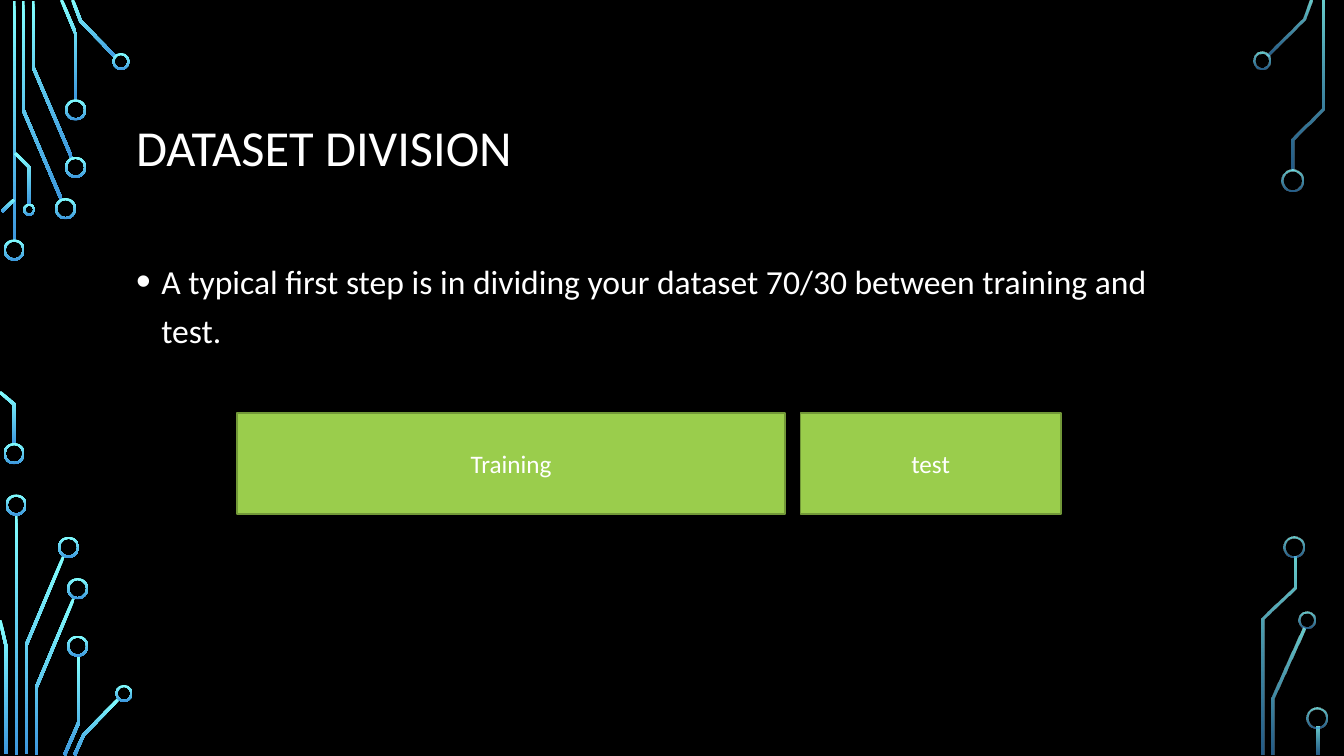
import math

import lxml.etree
import pptx
import pptx.dml.color
import pptx.enum.shapes
import pptx.enum.text
import pptx.oxml.ns
import pptx.util

Inches = pptx.util.Inches
Pt = pptx.util.Pt
ALIGN = pptx.enum.text.PP_ALIGN
ANCHOR = pptx.enum.text.MSO_ANCHOR
SHAPE = pptx.enum.shapes.MSO_SHAPE

COLORS = {
    "background": "000000",
    "text": "FFFFFF",
    "bar": "9ACD4C",
    "bar_line": "729838",
    "circuit_top": "82FFFF",
    "circuit_bottom": "3D97DE",
}
FONT = "Calibri"

TITLE = "DATASET DIVISION"
BODY = "A typical first step is in dividing your dataset 70/30 between training and test."
TITLE_BOX = (1.25, 0.68, 10.83, 1.62)
BODY_BOX = (1.25, 2.46, 10.83, 3.87)

BAR_TOP, BAR_HEIGHT = 4.1, 1
BARS = [("Training", 2.35, 5.44), ("test", 7.94, 2.58)]  # label, left, width

TRACE_WIDTH = 0.03
RING_WALL = 0.02

# Each side: opacity of the two gradient stops, centre lines of the traces,
# and rings as (centre x, centre y, diameter).
CIRCUITS = [
    {
        "opacity": (100, 100),
        "traces": [
            [(0.14, 0.01), (0.14, 2.4)],
            [(0.23, 0.01), (0.23, 1.09), (0.61, 1.98)],
            [(0.33, 0.01), (0.33, 0.67), (0.71, 1.56)],
            [(0.61, 0), (0.75, 0.33), (0.75, 1)],
            [(0.72, 0), (0.8, 0.21), (1.15, 0.57)],
            [(0.02, 2.1), (0.14, 1.98)],
            [(0, 3.89), (0.14, 4.01), (0.14, 4.41)],
            [(0.15, 1.52), (0.29, 1.66), (0.29, 2.03)],
            [(0.16, 5.1), (0.16, 7.49)],
            [(0.26, 7.48), (0.26, 6.4), (0.63, 5.52)],
            [(0, 6.15), (0.06, 6.41), (0.06, 7.48)],
            [(0.36, 7.49), (0.36, 6.82), (0.73, 5.94)],
            [(0.64, 7.49), (0.78, 7.17), (0.78, 6.5)],
            [(0.74, 7.49), (0.83, 7.29), (1.18, 6.93)],
        ],
        "rings": [
            (0.14, 2.48, 0.21), (0.14, 4.5, 0.21), (0.65, 2.07, 0.21),
            (0.75, 1.66, 0.21), (0.75, 1.09, 0.21), (1.2, 0.61, 0.17),
            (0.29, 2.08, 0.12), (0.16, 5.01, 0.21), (0.68, 5.43, 0.21),
            (0.77, 5.84, 0.21), (0.77, 6.41, 0.21), (1.23, 6.88, 0.17),
        ],
    },
    {
        "opacity": (80, 60),
        "traces": [
            [(12.57, 0.55), (12.93, 0.19), (13, 0)],
            [(12.63, 7.49), (12.63, 6.93), (12.93, 6.23)],
            [(12.82, 1.69), (12.82, 1.38), (13.12, 1.08), (13.12, 0.01)],
            [(12.53, 7.49), (12.53, 6.14), (12.84, 5.83), (12.84, 5.52)],
            [(13.07, 7.21), (13.07, 7.49)],
        ],
        "rings": [
            (12.52, 0.6, 0.17), (12.82, 1.79, 0.21), (12.96, 6.15, 0.17),
            (12.83, 5.43, 0.21), (13.06, 7.12, 0.21),
        ],
    },
]


def rgb(name):
    return pptx.dml.color.RGBColor.from_string(COLORS[name])


def ribbon(points, width):
    """Return the outline of a mitred band of this width along the points."""
    normals = []
    for (x1, y1), (x2, y2) in zip(points, points[1:]):
        length = math.hypot(x2 - x1, y2 - y1)
        normals.append(((y1 - y2) / length, (x2 - x1) / length))
    left, right = [], []
    for (x, y), (ax, ay), (bx, by) in zip(points, normals[:1] + normals, normals + normals[-1:]):
        reach = width / 2 / (1 + ax * bx + ay * by)
        dx, dy = (ax + bx) * reach, (ay + by) * reach
        left.append((x + dx, y + dy))
        right.append((x - dx, y - dy))
    return [(Inches(x), Inches(y)) for x, y in left + right[::-1]]


def paint_circuit(shape, opacity):
    shape.shadow.inherit = False
    shape.line.fill.background()
    shape.fill.gradient()
    shape.fill.gradient_angle = 270
    for stop, name in zip(shape.fill.gradient_stops, ("circuit_top", "circuit_bottom")):
        stop.color.rgb = rgb(name)
    for color, percent in zip(shape.element.spPr.iter(pptx.oxml.ns.qn("a:srgbClr")), opacity):
        if percent < 100:
            alpha = lxml.etree.SubElement(color, pptx.oxml.ns.qn("a:alpha"))
            alpha.set("val", str(percent * 1000))


def draw_circuit(shapes, circuit):
    for points in circuit["traces"]:
        outline = ribbon(points, TRACE_WIDTH)
        builder = shapes.build_freeform(*outline[0])
        builder.add_line_segments(outline[1:], close=True)
        paint_circuit(builder.convert_to_shape(), circuit["opacity"])
    for x, y, size in circuit["rings"]:
        box = (x - size / 2, y - size / 2, size, size)
        ring = shapes.add_shape(SHAPE.DONUT, *map(Inches, box))
        ring.adjustments[0] = RING_WALL / size
        paint_circuit(ring, circuit["opacity"])


def write(shape, text, size, anchor, **paragraph_format):
    frame = shape.text_frame
    frame.text = text
    frame.word_wrap = True
    frame.vertical_anchor = anchor
    paragraph = frame.paragraphs[0]
    for name, value in paragraph_format.items():
        setattr(paragraph, name, value)
    font = paragraph.runs[0].font
    for name, value in {"name": FONT, "size": Pt(size)}.items():
        setattr(font, name, value)
    font.color.rgb = rgb("text")
    return paragraph


def place(shape, box):
    for name, value in zip(("left", "top", "width", "height"), box):
        setattr(shape, name, Inches(value))
    shape.element.getparent().append(shape.element)  # in front of the circuits


def add_bullet(paragraph):
    properties = paragraph._p.get_or_add_pPr()
    properties.set("marL", str(Inches(0.25)))
    properties.set("indent", str(Inches(-0.25)))
    for tag, key, value in (("a:buSzPct", "val", "125000"),
                            ("a:buFont", "typeface", "Arial"),
                            ("a:buChar", "char", "•")):
        lxml.etree.SubElement(properties, pptx.oxml.ns.qn(tag)).set(key, value)


def main():
    presentation = pptx.Presentation()
    presentation.slide_width = Inches(13.33)
    presentation.slide_height = Inches(7.5)
    slide = presentation.slides.add_slide(presentation.slide_layouts[1])
    slide.background.fill.solid()
    slide.background.fill.fore_color.rgb = rgb("background")

    for circuit in CIRCUITS:
        draw_circuit(slide.shapes, circuit)

    title, body = slide.placeholders
    place(title, TITLE_BOX)
    write(title, TITLE, 36, ANCHOR.MIDDLE, alignment=ALIGN.LEFT, line_spacing=0.9)
    place(body, BODY_BOX)
    add_bullet(write(body, BODY, 24, ANCHOR.TOP, line_spacing=1.2, space_before=Pt(10)))

    for label, left, width in BARS:
        box = map(Inches, (left, BAR_TOP, width, BAR_HEIGHT))
        bar = slide.shapes.add_shape(SHAPE.RECTANGLE, *box)
        bar.shadow.inherit = False
        bar.fill.solid()
        bar.fill.fore_color.rgb = rgb("bar")
        bar.line.color.rgb = rgb("bar_line")
        bar.line.width = Pt(1.25)
        write(bar, label, 18, ANCHOR.MIDDLE, alignment=ALIGN.CENTER)

    presentation.save("out.pptx")


if __name__ == "__main__":
    main()
